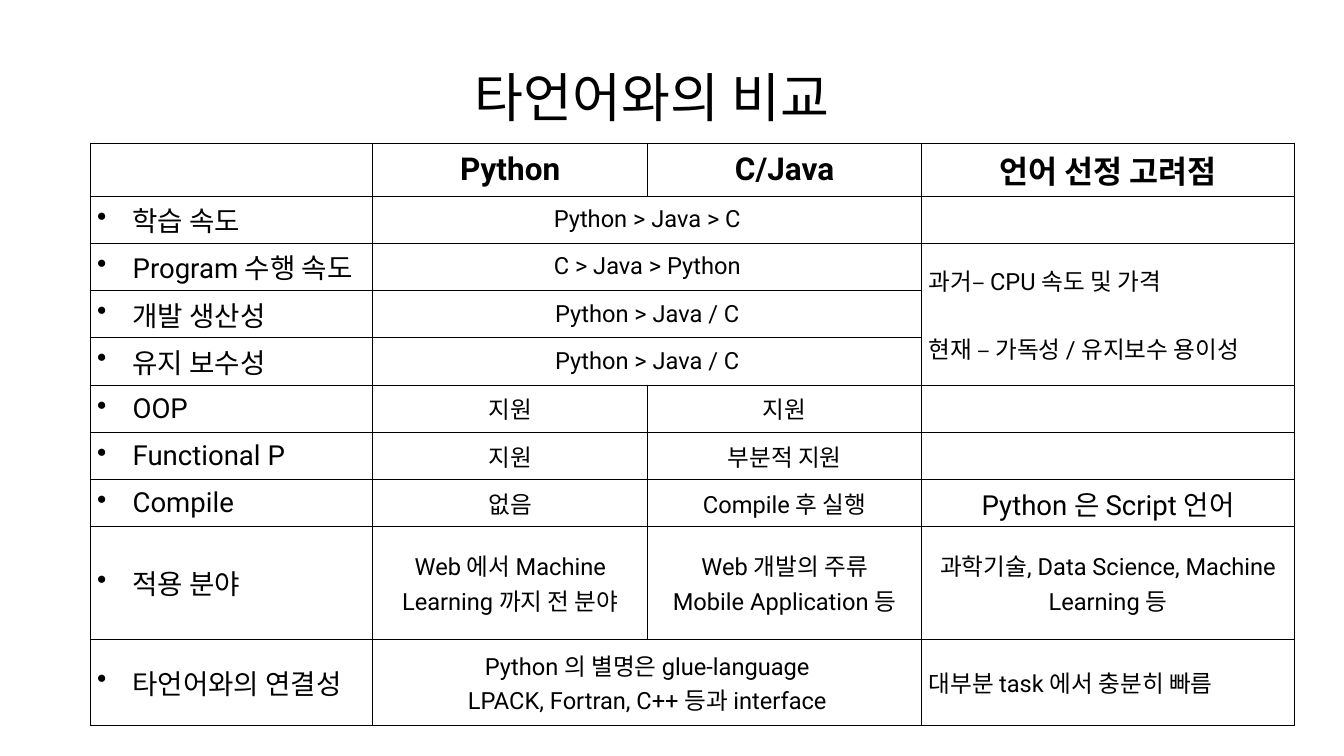
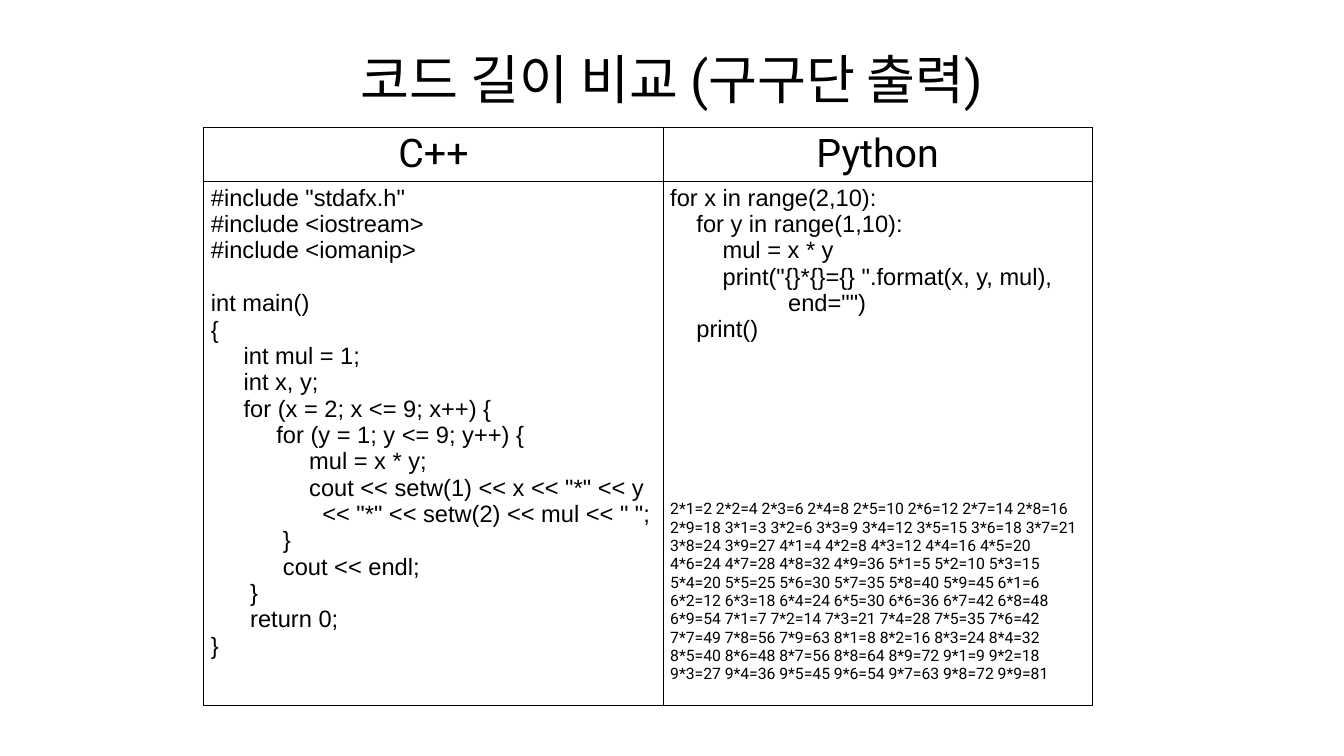
"""Builds two slides comparing Python with other languages."""
from dataclasses import dataclass

from lxml import etree
from pptx import Presentation
from pptx.dml.color import RGBColor
from pptx.enum.text import MSO_ANCHOR, PP_ALIGN
from pptx.oxml.ns import qn
from pptx.util import Pt

PX = 9525
SLIDE_W, SLIDE_H = 1820, 1024
TITLE_W, TITLE_H, TITLE_INSET = 1554, 158, 6
BULLET_INDENT = 48
BORDER_PT = 1
INK = "000000"
LEFT, CENTER = PP_ALIGN.LEFT, PP_ALIGN.CENTER
TOP, MIDDLE = MSO_ANCHOR.TOP, MSO_ANCHOR.MIDDLE


@dataclass(frozen=True)
class Style:
    size: int
    align: PP_ALIGN = CENTER
    font: str = "Roboto"
    bold: bool = False
    bullet: bool = False


@dataclass(frozen=True)
class Line:
    text: str
    style: Style
    before: int = 0


@dataclass(frozen=True)
class Cell:
    row: int
    column: int
    lines: list[Line]
    rows: int = 1
    columns: int = 1


@dataclass(frozen=True)
class Grid:
    left: int
    top: int
    widths: list[int]
    heights: list[int]
    anchor: MSO_ANCHOR
    cells: list[Cell]


@dataclass(frozen=True)
class Page:
    title: str
    title_left: int
    title_top: int
    grid: Grid


TITLE = Style(54)
HEADING = Style(32, bold=True)
TOPIC = Style(28, LEFT, bullet=True)
REMARK = Style(28)
FACT = Style(24)
NOTE = Style(24, LEFT)
LANGUAGE = Style(40)
CODE = Style(24, LEFT, "Arial")
OUTPUT = Style(16, LEFT)

HEADINGS = ["Python", "C/Java", "언어 선정 고려점"]
TOPICS = ["학습 속도", "Program 수행 속도", "개발 생산성", "유지 보수성", "OOP",
          "Functional P", "Compile", "적용 분야", "타언어와의 연결성"]
RANKINGS = ["Python > Java > C", "C > Java > Python",
            "Python > Java / C", "Python > Java / C"]
SUPPORT = [("지원", "지원"), ("지원", "부분적 지원"), ("없음", "Compile 후 실행"),
           ("Web 에서 Machine Learning 까지 전 분야",
            "Web 개발의 주류\nMobile Application 등")]
CPP_INCLUDES = """#include "stdafx.h"
#include <iostream>
#include <iomanip>"""
CPP_MAIN = """int main()
{
     int mul = 1;
     int x, y;
     for (x = 2; x <= 9; x++) {
          for (y = 1; y <= 9; y++) {
               mul = x * y;
               cout << setw(1) << x << "*" << y
                 << "*" << setw(2) << mul << " ";
           }
           cout << endl;
      }
      return 0;
}"""
PYTHON_CODE = """for x in range(2,10):
    for y in range(1,10):
        mul = x * y
        print("{}*{}={} ".format(x, y, mul),
                  end="")
    print()"""
TIMES_TABLE = " ".join(f"{x}*{y}={x * y}" for x in range(2, 10) for y in range(1, 10))


def px(length: int) -> int:
    """Turn px into EMU."""
    return length * PX


def color(value: str) -> RGBColor:
    """Turn a hex string into a colour."""
    return RGBColor.from_string(value)


def lines(text: str, style: Style, before: int = 0) -> list[Line]:
    """Split text into lines, with space before the first."""
    return [Line(part, style, 0 if index else before)
            for index, part in enumerate(text.split("\n"))]


def write(frame, content: list[Line]) -> None:
    """Write lines as paragraphs of a text frame."""
    for index, line in enumerate(content):
        paragraph = frame.add_paragraph() if index else frame.paragraphs[0]
        style = line.style
        paragraph.text = line.text
        paragraph.alignment = style.align
        if line.before:
            paragraph.space_before = Pt(line.before)
        if style.bullet:
            properties = paragraph._p.get_or_add_pPr()
            properties.set("marL", str(px(BULLET_INDENT)))
            properties.set("indent", str(-px(BULLET_INDENT)))
            etree.SubElement(properties, qn("a:buChar"), char="•")
        font = paragraph.font
        font.size = Pt(style.size)
        font.name = style.font
        font.bold = style.bold
        font.color.rgb = color(INK)


def outline(cell) -> None:
    """Draw the four borders of a table cell and clear its fill."""
    properties = cell._tc.get_or_add_tcPr()
    for side in ("lnL", "lnR", "lnT", "lnB"):
        border = etree.SubElement(properties, qn(f"a:{side}"), w=str(Pt(BORDER_PT)))
        fill = etree.SubElement(border, qn("a:solidFill"))
        etree.SubElement(fill, qn("a:srgbClr"), val=INK)
    cell.fill.background()


def add_title(slide, page: Page) -> None:
    """Add the centred slide title."""
    box = slide.shapes.add_textbox(px(page.title_left), px(page.title_top),
                                   px(TITLE_W), px(TITLE_H))
    frame = box.text_frame
    frame.word_wrap = True
    frame.vertical_anchor = MIDDLE
    frame.margin_left = frame.margin_right = px(TITLE_INSET)
    frame.margin_top = frame.margin_bottom = px(TITLE_INSET)
    write(frame, [Line(page.title, TITLE)])


def add_grid(slide, grid: Grid) -> None:
    """Add a bordered table."""
    table = slide.shapes.add_table(
        len(grid.heights), len(grid.widths), px(grid.left), px(grid.top),
        px(sum(grid.widths)), px(sum(grid.heights))).table
    table.first_row = table.horz_banding = False
    for column, width in zip(table.columns, grid.widths):
        column.width = px(width)
    for row, height in zip(table.rows, grid.heights):
        row.height = px(height)
    for cell in table.iter_cells():
        outline(cell)
        cell.vertical_anchor = grid.anchor
    for item in grid.cells:
        cell = table.cell(item.row, item.column)
        if item.rows > 1 or item.columns > 1:
            cell.merge(table.cell(item.row + item.rows - 1,
                                  item.column + item.columns - 1))
        write(cell.text_frame, item.lines)


def comparison_cells() -> list[Cell]:
    """List the cells of the language comparison."""
    cells = [Cell(0, column, lines(text, HEADING))
             for column, text in enumerate(HEADINGS, 1)]
    cells += [Cell(row, 0, lines(text, TOPIC)) for row, text in enumerate(TOPICS, 1)]
    cells += [Cell(row, 1, lines(text, FACT), columns=2)
              for row, text in enumerate(RANKINGS, 1)]
    cells += [Cell(row, column, lines(text, FACT))
              for row, pair in enumerate(SUPPORT, 5)
              for column, text in enumerate(pair, 1)]
    return cells + [
        Cell(2, 3, lines("과거– CPU 속도 및 가격", NOTE)
             + lines("현재 – 가독성 / 유지보수 용이성", NOTE, 35), rows=3),
        Cell(7, 3, lines("Python 은 Script 언어", REMARK)),
        Cell(8, 3, lines("과학기술, Data Science, Machine Learning 등", FACT)),
        Cell(9, 1, lines("Python 의 별명은 glue-language\n"
                         "LPACK, Fortran, C++ 등과 interface", FACT), columns=2),
        Cell(9, 3, lines("대부분 task 에서 충분히 빠름", NOTE)),
    ]


def code_cells() -> list[Cell]:
    """List the cells of the code comparison."""
    return [
        Cell(0, 0, lines("C++", LANGUAGE)),
        Cell(0, 1, lines("Python", LANGUAGE)),
        Cell(1, 0, lines(CPP_INCLUDES, CODE) + lines(CPP_MAIN, CODE, 27)),
        Cell(1, 1, lines(PYTHON_CODE, CODE) + lines(TIMES_TABLE, OUTPUT, 160)),
    ]


def main() -> None:
    """Build and save the presentation."""
    deck = Presentation()
    deck.slide_width, deck.slide_height = px(SLIDE_W), px(SLIDE_H)
    pages = [
        Page("타언어와의 비교", 106, 52,
             Grid(122, 194, [383, 372, 371, 505], [70] + [64] * 7 + [152, 117],
                  MIDDLE, comparison_cells())),
        Page("코드 길이 비교 (구구단 출력)", 133, 27,
             Grid(276, 172, [622, 581], [72, 687], TOP, code_cells())),
    ]
    for page in pages:
        slide = deck.slides.add_slide(deck.slide_layouts[6])
        add_grid(slide, page.grid)
        add_title(slide, page)
    deck.save("out.pptx")


if __name__ == "__main__":
    main()
